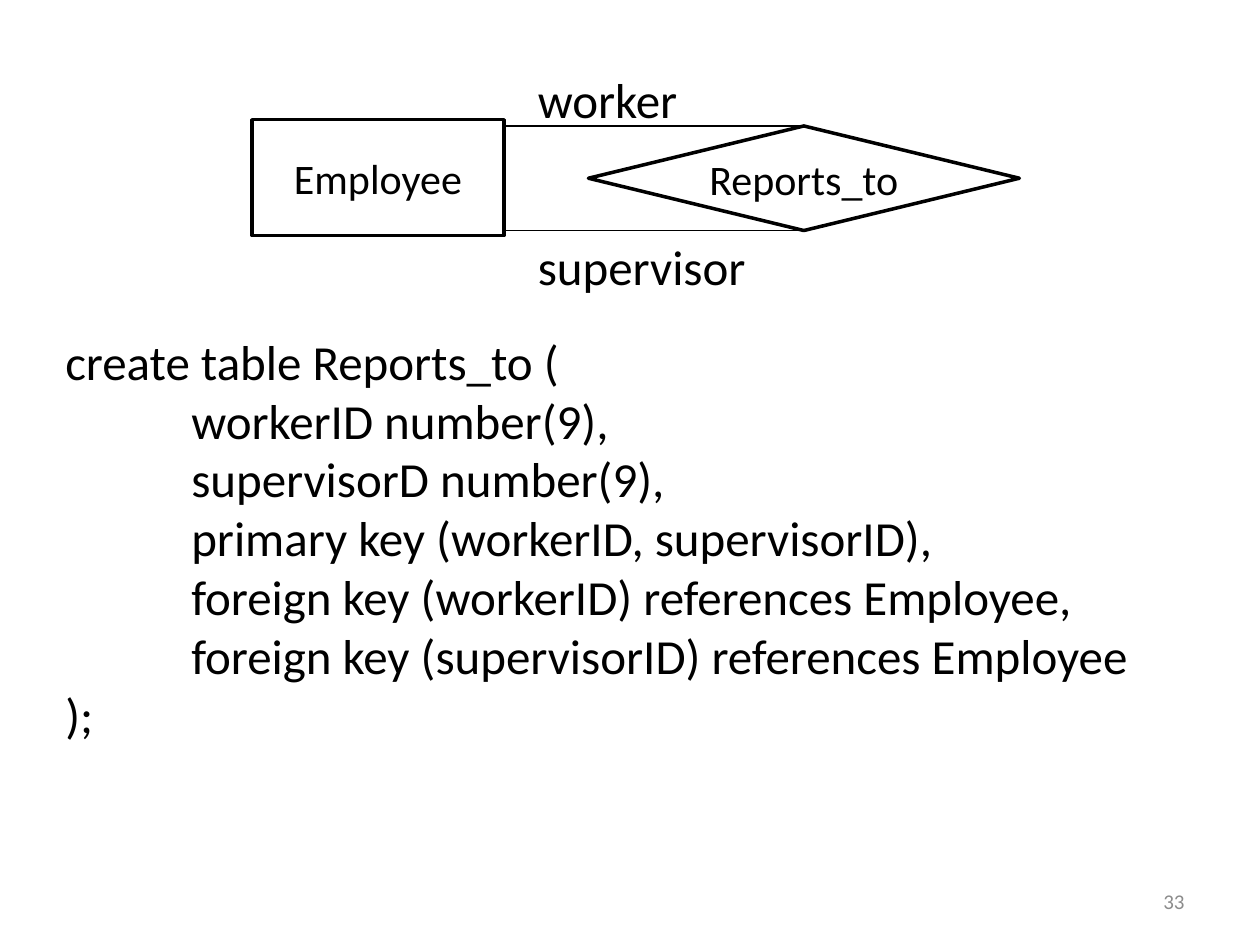
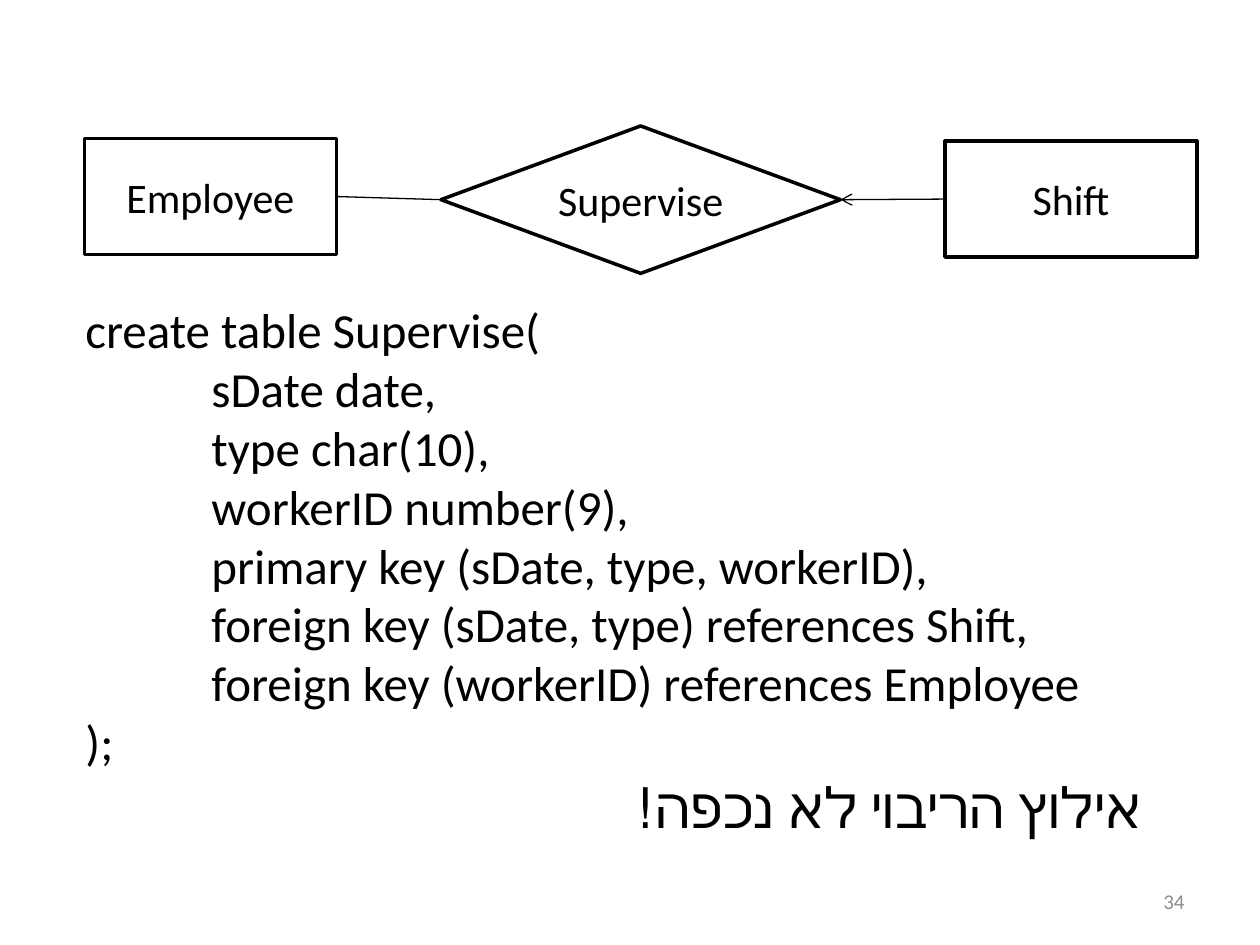
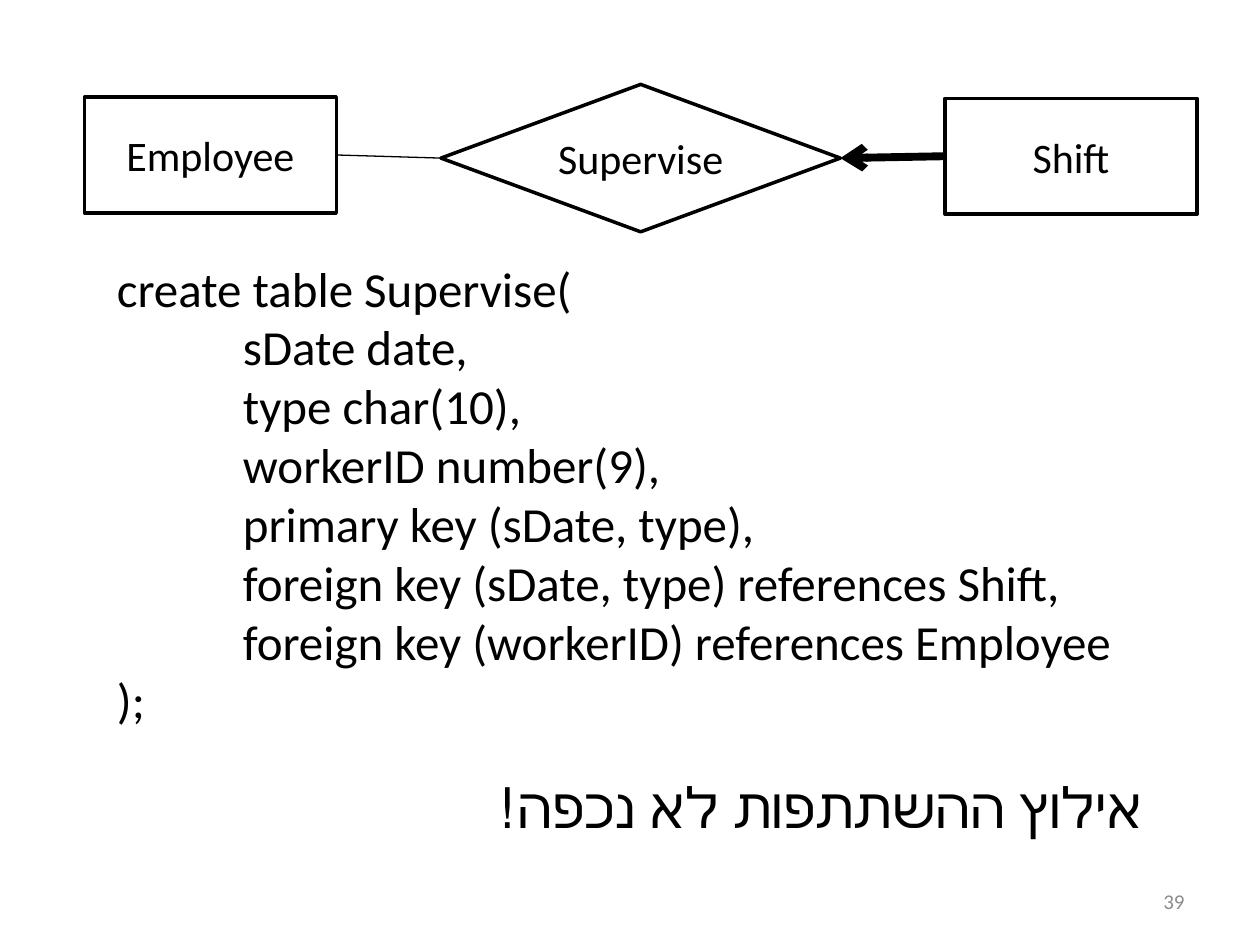
from lxml.etree import SubElement
from pptx import Presentation
from pptx.dml.color import RGBColor
from pptx.enum.shapes import MSO_CONNECTOR, MSO_SHAPE
from pptx.enum.text import MSO_ANCHOR, MSO_AUTO_SIZE, PP_ALIGN
from pptx.oxml.ns import qn
from pptx.util import Inches, Pt

COLORS = {"ink": "000000", "number": "8C8C8C"}
FONT = "Calibri"
CELLS_PER_INCH = 12  # the slide is a grid of 120 columns by 90 rows
COLUMNS, ROWS = 120, 90
ENTITY_SIZE = (24, 11)
TOP, LEFT, BOTTOM, RIGHT = range(4)  # connection sites of boxes and diamonds


def grid(cells):
    """Turn a count of grid cells into a length."""
    return Inches(round(cells / CELLS_PER_INCH, 2))


def color(name):
    """Look up a colour of the deck."""
    return RGBColor.from_string(COLORS[name])


def write(frame, lines, size=28, ink="ink", align=PP_ALIGN.LEFT,
          anchor=MSO_ANCHOR.TOP, rtl=False, indented=()):
    """Fill a text frame with one paragraph per line."""
    frame.word_wrap = True
    frame.vertical_anchor = anchor
    for index, line in enumerate(lines):
        para = frame.paragraphs[0] if index == 0 else frame.add_paragraph()
        para.alignment = align
        properties = para._p.get_or_add_pPr()
        if rtl:
            properties.set("rtl", "1")
        if index in indented:
            properties.set("marL", str(Inches(1)))
        span = para.add_run()
        span.text = line
        span.font.name = FONT
        span.font.size = Pt(size)
        span.font.color.rgb = color(ink)


def add_text(page, lines, left, top, width, size=28, **style):
    """Add a text box whose height follows from its lines."""
    height = Inches(round(len(lines) * size / 60 + 0.1, 2))
    box = page.shapes.add_textbox(grid(left), grid(top), grid(width), height)
    write(box.text_frame, lines, size=size, **style)
    box.text_frame.auto_size = MSO_AUTO_SIZE.SHAPE_TO_FIT_TEXT


def add_node(page, kind, name, left, top, width, height):
    """Add an outlined, named node of the diagram."""
    node = page.shapes.add_shape(
        kind, grid(left), grid(top), grid(width), grid(height))
    node.shadow.inherit = False
    node.fill.background()
    node.line.color.rgb = color("ink")
    node.line.width = Pt(2)
    write(node.text_frame, [name], size=24, align=PP_ALIGN.CENTER,
          anchor=MSO_ANCHOR.MIDDLE)
    return node


def add_entity(page, name, left, top):
    """Add an entity rectangle."""
    return add_node(page, MSO_SHAPE.RECTANGLE, name, left, top, *ENTITY_SIZE)


def add_relation(page, name, left, top, width, height):
    """Add a relationship diamond."""
    return add_node(page, MSO_SHAPE.FLOWCHART_DECISION, name,
                    left, top, width, height)


def add_link(page, relation, site, end=(0, 0), entity=None, entity_site=None,
             weight=0.75, arrow=False):
    """Draw a line from a diamond to an entity's site or to a grid point."""
    link = page.shapes.add_connector(
        MSO_CONNECTOR.STRAIGHT, 0, 0, grid(end[0]), grid(end[1]))
    link.begin_connect(relation, site)
    if entity is not None:
        link.end_connect(entity, entity_site)
    link.line.color.rgb = color("ink")
    link.line.width = Pt(weight)
    if arrow:
        SubElement(link.line._get_or_add_ln(), qn("a:headEnd"), type="arrow")
    SubElement(link._element.spPr, qn("a:effectLst"))


def add_create_table(page, name, fields, left, top):
    """Write a create table statement with indented fields."""
    lines = [f"create table {name}", *fields, ");"]
    add_text(page, lines, left, top, 104, indented=range(1, len(lines) - 1))


def add_page(deck, number):
    """Add an empty page with its number in the footer."""
    page = deck.slides.add_slide(deck.slide_layouts[6])
    box = page.shapes.add_textbox(grid(86), grid(83.4), grid(28), grid(4.8))
    write(box.text_frame, [str(number)], size=12, ink="number",
          align=PP_ALIGN.RIGHT, anchor=MSO_ANCHOR.MIDDLE)
    return page


def add_reports_to_page(deck):
    """Show the recursive relationship and its table."""
    page = add_page(deck, 33)
    add_entity(page, "Employee", 24, 11.4)
    relation = add_relation(page, "Reports_to", 56, 12, 41, 10)
    for site, row in ((TOP, 12), (BOTTOM, 22)):
        add_link(page, relation, site, end=(48, row))
    for role, row in (("worker", 6), ("supervisor", 22)):
        add_text(page, [role], 50, row, 23)
    add_create_table(page, "Reports_to (", [
        "workerID number(9),",
        "supervisorD number(9),",
        "primary key (workerID, supervisorID),",
        "foreign key (workerID) references Employee,",
        "foreign key (supervisorID) references Employee",
    ], 5, 31)


def add_supervise_page(deck, number, top, key, code_left, weight, remark,
                       remark_left):
    """Show the Supervise relationship, its table and a remark."""
    page = add_page(deck, number)
    employee = add_entity(page, "Employee", 8, top + 1.2)
    shift = add_entity(page, "Shift", 90, top + 1.4)
    relation = add_relation(page, "Supervise", 42, top, 38, 14)
    add_link(page, relation, LEFT, entity=employee, entity_site=RIGHT)
    add_link(page, relation, RIGHT, entity=shift, entity_site=LEFT,
             weight=weight, arrow=True)
    add_create_table(page, "Supervise(", [
        "sDate date,",
        "type char(10),",
        "workerID number(9),",
        f"primary key ({key}),",
        "foreign key (sDate, type) references Shift,",
        "foreign key (workerID) references Employee",
    ], code_left, top + 16)
    add_text(page, [remark], remark_left, 73, 110 - remark_left, size=32,
             align=PP_ALIGN.RIGHT, rtl=True)


def main():
    """Build and save the deck."""
    deck = Presentation()
    deck.slide_width, deck.slide_height = grid(COLUMNS), grid(ROWS)
    add_reports_to_page(deck)
    add_supervise_page(deck, 34, top=12, key="sDate, type, workerID",
                       code_left=7, weight=0.75,
                       remark="אילוץ הריבוי לא נכפה!", remark_left=58)
    add_supervise_page(deck, 39, top=8, key="sDate, type",
                       code_left=10, weight=4.5,
                       remark="אילוץ ההשתתפות לא נכפה!", remark_left=44)
    deck.save("out.pptx")


main()
